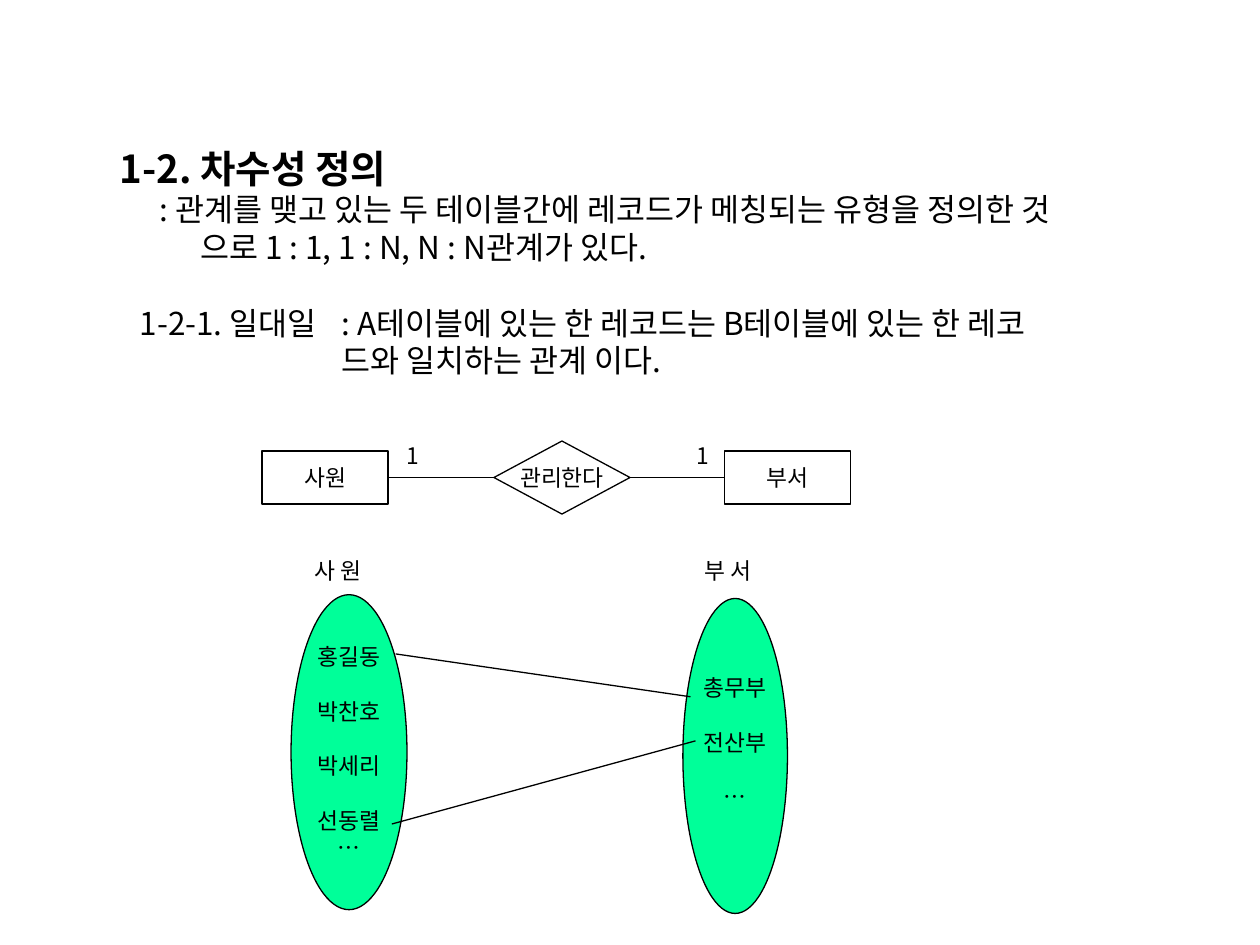
from lxml import etree
from pptx import Presentation
from pptx.dml.color import RGBColor
from pptx.enum.shapes import MSO_CONNECTOR, MSO_SHAPE as SHAPE
from pptx.enum.text import MSO_ANCHOR as ANCHOR, PP_ALIGN as ALIGN
from pptx.oxml.ns import qn
from pptx.util import Inches, Pt

COLORS = {"ink": "000000", "paper": "FFFFFF", "set": "00FF99"}
RIGHT, LEFT = 3, 1


def rgb(name):
    return RGBColor.from_string(COLORS[name])


class Diagram:
    """Holds the slide and the style shared by its elements."""
    font = "Noto Sans CJK KR"
    leading = 1.2

    def __init__(self, slide):
        self.slide = slide

    def format(self, p, size, bold=False, align=ALIGN.LEFT):
        p.alignment = align
        p.line_spacing = Pt(size * self.leading)
        p.space_before = Pt(0)
        for r in p.runs:
            r.font.size, r.font.bold, r.font.name = Pt(size), bold, self.font
            r.font.color.rgb = rgb("ink")
            etree.SubElement(r.font._element, qn("a:ea"), typeface=self.font)

    def title(self, text, x, y, w, h):
        sp = self.slide.shapes.title
        sp.left, sp.top, sp.width, sp.height = map(Inches, (x, y, w, h))
        sp.text_frame.text = text
        sp.text_frame.vertical_anchor = ANCHOR.TOP
        self.format(sp.text_frame.paragraphs[0], 22, bold=True)

    def body(self, items, x, y, w, h, size=18):
        """Hanging paragraphs given as (text, first-line left, other lines' left)."""
        sp = self.slide.shapes.add_textbox(*map(Inches, (x, y, w, h)))
        tf = sp.text_frame
        tf.word_wrap = True
        for i, (text, first, rest) in enumerate(items):
            p = tf.add_paragraph() if i else tf.paragraphs[0]
            p.text = text
            pPr = p._p.get_or_add_pPr()
            pPr.set("marL", str(Inches(rest)))
            pPr.set("indent", str(Inches(first - rest)))
            self.format(p, size)
            if i:
                p.space_before = Pt(size * self.leading)

    def shape(self, kind, lines, x, y, w, h, fill="paper", line="ink", size=13):
        sp = self.slide.shapes.add_shape(kind, *map(Inches, (x, y, w, h)))
        sp.shadow.inherit = False
        sp.fill.solid()
        sp.fill.fore_color.rgb = rgb(fill)
        sp.line.color.rgb = rgb(line)
        sp.line.width = Pt(0.75)
        tf = sp.text_frame
        tf.text = "\n".join(lines)
        tf.word_wrap = False
        tf.vertical_anchor = ANCHOR.MIDDLE
        tf.margin_left = tf.margin_right = 0
        for i, p in enumerate(tf.paragraphs):
            self.format(p, size, align=ALIGN.CENTER)
            if i and len(lines[i]) > 1 or i == 2:
                p.space_before = Pt(size * self.leading)
        return sp

    def label(self, text, x, y, w, h):
        self.shape(SHAPE.RECTANGLE, [text], x, y, w, h, line="paper")

    def line(self, x1=0, y1=0, x2=0, y2=0):
        cxn = self.slide.shapes.add_connector(
            MSO_CONNECTOR.STRAIGHT, *map(Inches, (x1, y1, x2, y2)))
        cxn.line.color.rgb = rgb("ink")
        cxn.line.width = Pt(0.75)
        etree.SubElement(cxn._element.spPr, qn("a:effectLst"))
        return cxn

    def join(self, start, end):
        """Line from the right side of one shape to the left side of the next."""
        cxn = self.line()
        cxn.begin_connect(start, RIGHT)
        cxn.end_connect(end, LEFT)


def main():
    prs = Presentation()
    prs.slide_width, prs.slide_height = Inches(10), Inches(7.5)
    d = Diagram(prs.slides.add_slide(prs.slide_layouts[5]))

    d.title("1-2. 차수성 정의", 0.85, 1.1, 8.65, 0.45)
    d.body([
        (": 관계를 맺고 있는 두 테이블간에 레코드가 메칭되는 유형을 정의한 것\v"
         "으로 1 : 1, 1 : N, N : N관계가 있다.", 0.38, 0.7),
        ("1-2-1. 일대일\t: A테이블에 있는 한 레코드는 B테이블에 있는 한 레코\v"
         "드와 일치하는 관계 이다.", 0.22, 1.82),
    ], 0.79, 1.46, 8.71, 1.89)

    employee = d.shape(SHAPE.RECTANGLE, ["사원"], 2.08, 3.58, 1, 0.42)
    manages = d.shape(SHAPE.DIAMOND, ["관리한다"], 3.92, 3.5, 1.08, 0.58)
    department = d.shape(SHAPE.RECTANGLE, ["부서"], 5.75, 3.58, 1, 0.42)
    d.join(employee, manages)
    d.join(manages, department)
    for x in (3.19, 5.49):
        d.label("1", x, 3.49, 0.17, 0.25)

    d.shape(SHAPE.OVAL, ["홍길동", "박찬호", "박세리", "선동렬", "…"],
            2.31, 4.72, 0.92, 2.5, fill="set")
    departments = d.shape(SHAPE.OVAL, ["총무부", "전산부", "…"],
                          5.42, 4.75, 0.83, 2.5, fill="set")
    departments.text_frame.margin_bottom = Inches(0.27)
    d.label("사 원", 2.31, 4.36, 0.75, 0.33)
    d.label("부 서", 5.4, 4.36, 0.75, 0.33)
    d.line(3.14, 5.19, 5.48, 5.53)
    d.line(3.11, 6.54, 5.52, 5.88)

    prs.save("out.pptx")


if __name__ == "__main__":
    main()
